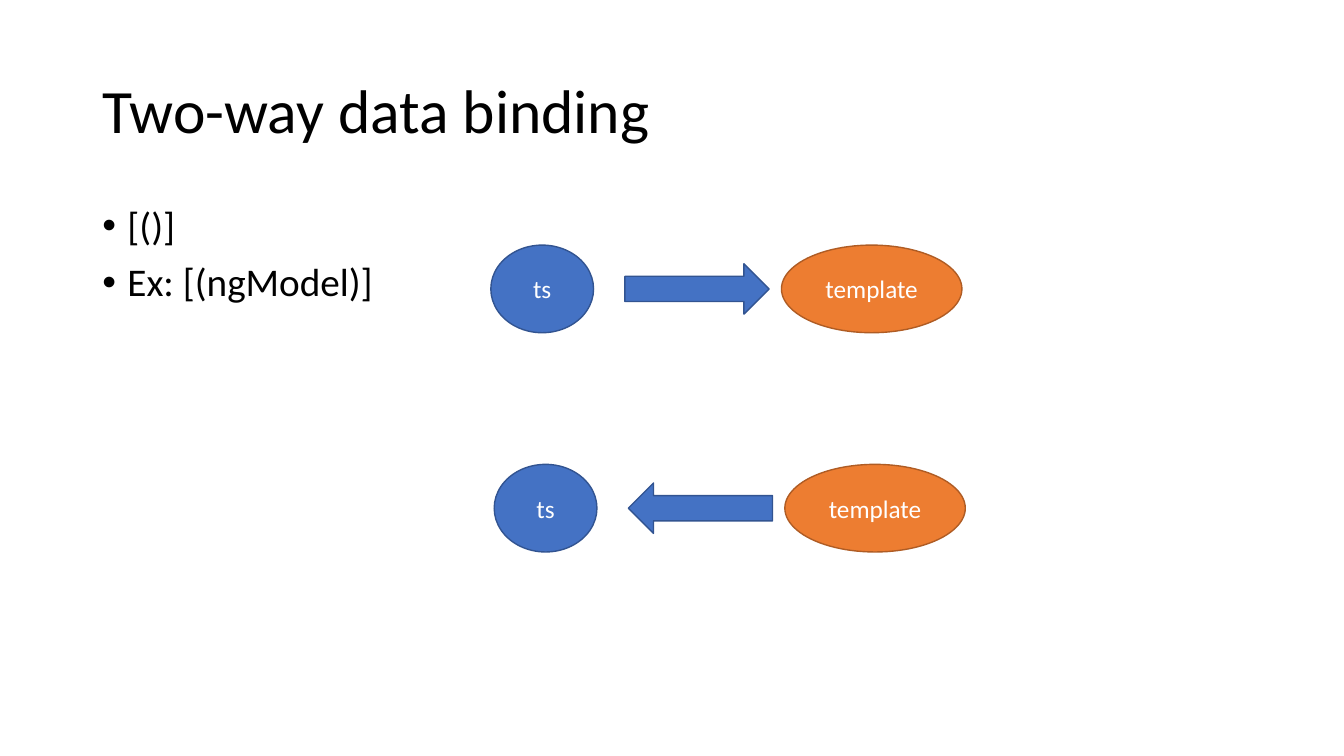
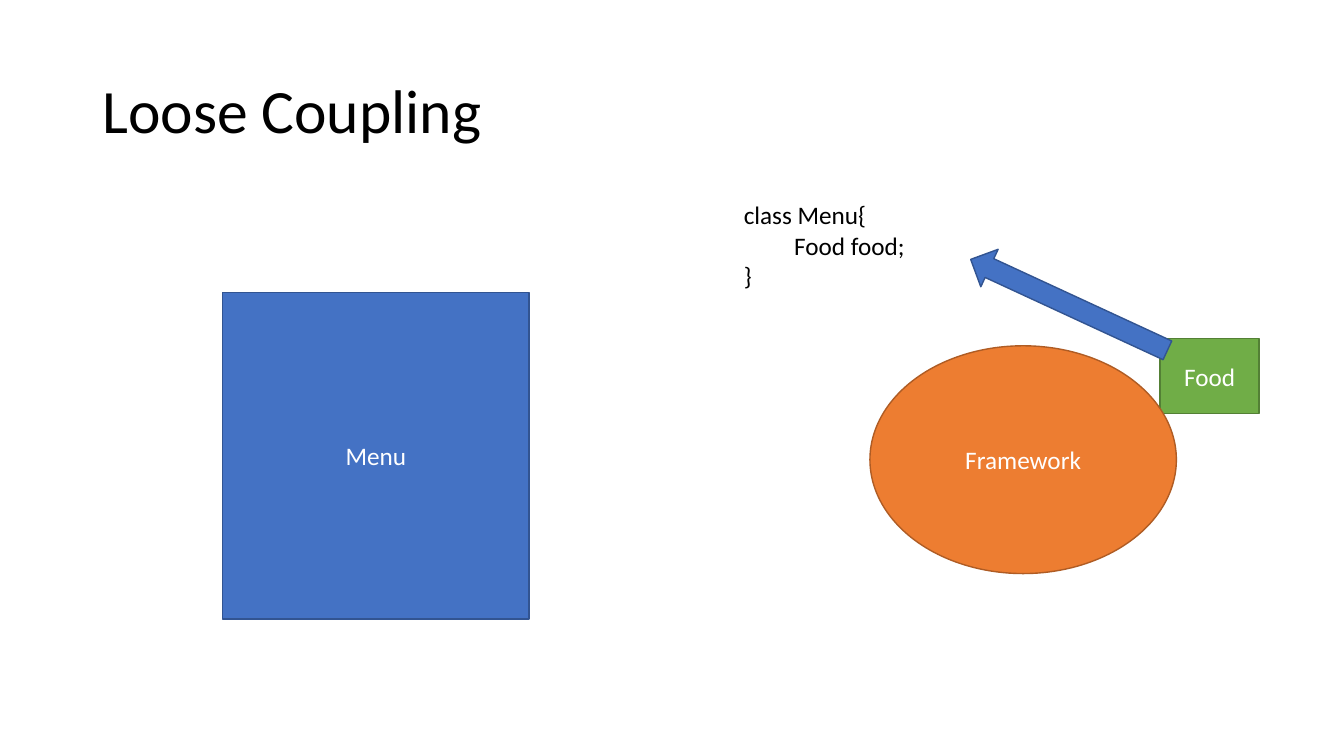
from dataclasses import dataclass
from lxml.etree import SubElement
from pptx import Presentation
from pptx.dml.color import RGBColor
from pptx.enum.shapes import MSO_SHAPE
from pptx.enum.text import MSO_ANCHOR, PP_ALIGN
from pptx.oxml.ns import qn
from pptx.util import Pt


@dataclass(frozen=True)
class Theme:
    font: str = "Calibri"
    ink: str = "000000"
    light: str = "FFFFFF"
    blue: tuple = ("4472C4", "325491")
    orange: tuple = ("ED7D31", "AF5C24")
    green: tuple = ("70AD47", "538035")
    title: int = 44
    body: int = 28
    small: int = 18
    rule: int = 1


theme = Theme()
OVAL, RECT, ARROW = MSO_SHAPE.OVAL, MSO_SHAPE.RECTANGLE, MSO_SHAPE.RIGHT_ARROW

size = (960, 540)
title_box = (66, 28.8, 828, 104.4)
list_box = (66, 144, 828, 342.7)
code_box = (524.2, 139, 398.2, 72.7)

binding = {"title": "Two-way data binding", "points": ["[()]", "Ex: [(ngModel)]"]}
flow = [
    (OVAL, "ts", 350.6, 73.4, 62.6, theme.blue),
    (OVAL, "template", 558.2, 128.9, 62.6, theme.orange),
    (ARROW, "", 446.4, 103, 36, theme.blue),
]
rows = [(0, 206.4, 0), (2.4, 363, 180)]

coupling = {"title": "Loose Coupling", "code": ["class Menu{", "\tFood food;", "}"]}
blocks = [
    (RECT, "Menu", (159.1, 208.8, 218.9, 233.3), theme.blue),
    (RECT, "Food", (828.7, 241.9, 70.6, 53.3), theme.green),
]
frame = (OVAL, "Framework", (621.4, 247, 218.9, 162.7), theme.orange)
inject = (ARROW, "", (686.2, 203, 154.8, 29.5), theme.blue, 204.8)


def style(para, pts, color):
    for run in para.runs:
        run.font.name = theme.font
        run.font.size = Pt(pts)
        run.font.color.rgb = RGBColor.from_string(color)


def add_text(slide, box, lines, pts, anchor=MSO_ANCHOR.TOP, space=None):
    frame = slide.shapes.add_textbox(*map(Pt, box)).text_frame
    frame.word_wrap = True
    frame.vertical_anchor = anchor
    frame.text = "\n".join(lines)
    for para in frame.paragraphs:
        para.line_spacing = space
        style(para, pts, theme.ink)
    return frame


def add_block(slide, kind, label, box, tone, turn=0):
    shape = slide.shapes.add_shape(kind, *map(Pt, box))
    fill, edge = tone
    shape.shadow.inherit = False
    shape.rotation = turn
    shape.fill.solid()
    shape.fill.fore_color.rgb = RGBColor.from_string(fill)
    shape.line.color.rgb = RGBColor.from_string(edge)
    shape.line.width = Pt(theme.rule)
    if label:
        frame = shape.text_frame
        frame.text = label
        frame.vertical_anchor = MSO_ANCHOR.MIDDLE
        para = frame.paragraphs[0]
        para.alignment = PP_ALIGN.CENTER
        style(para, theme.small, theme.light)


def add_list(slide, lines):
    frame = add_text(slide, list_box, lines, theme.body, space=0.9)
    for para in frame.paragraphs:
        para.space_before = Pt(10)
        props = para._p.get_or_add_pPr()
        props.set("marL", str(Pt(18)))
        props.set("indent", str(-Pt(18)))
        SubElement(props, qn("a:buFont")).set("typeface", "Arial")
        SubElement(props, qn("a:buChar")).set("char", "•")


def add_slide(deck, title):
    slide = deck.slides.add_slide(deck.slide_layouts[6])
    add_text(slide, title_box, [title], theme.title, MSO_ANCHOR.MIDDLE, 0.9)
    return slide


deck = Presentation()
deck.slide_width, deck.slide_height = map(Pt, size)

slide = add_slide(deck, binding["title"])
add_list(slide, binding["points"])
for shift, mid, turn in rows:
    for kind, label, left, wide, high, tone in flow:
        box = (left + shift, mid - high / 2, wide, high)
        add_block(slide, kind, label, box, tone, turn if kind == ARROW else 0)

slide = add_slide(deck, coupling["title"])
for block in blocks:
    add_block(slide, *block)
add_text(slide, code_box, coupling["code"], theme.small)
for block in (frame, inject):
    add_block(slide, *block)

deck.save("out.pptx")
